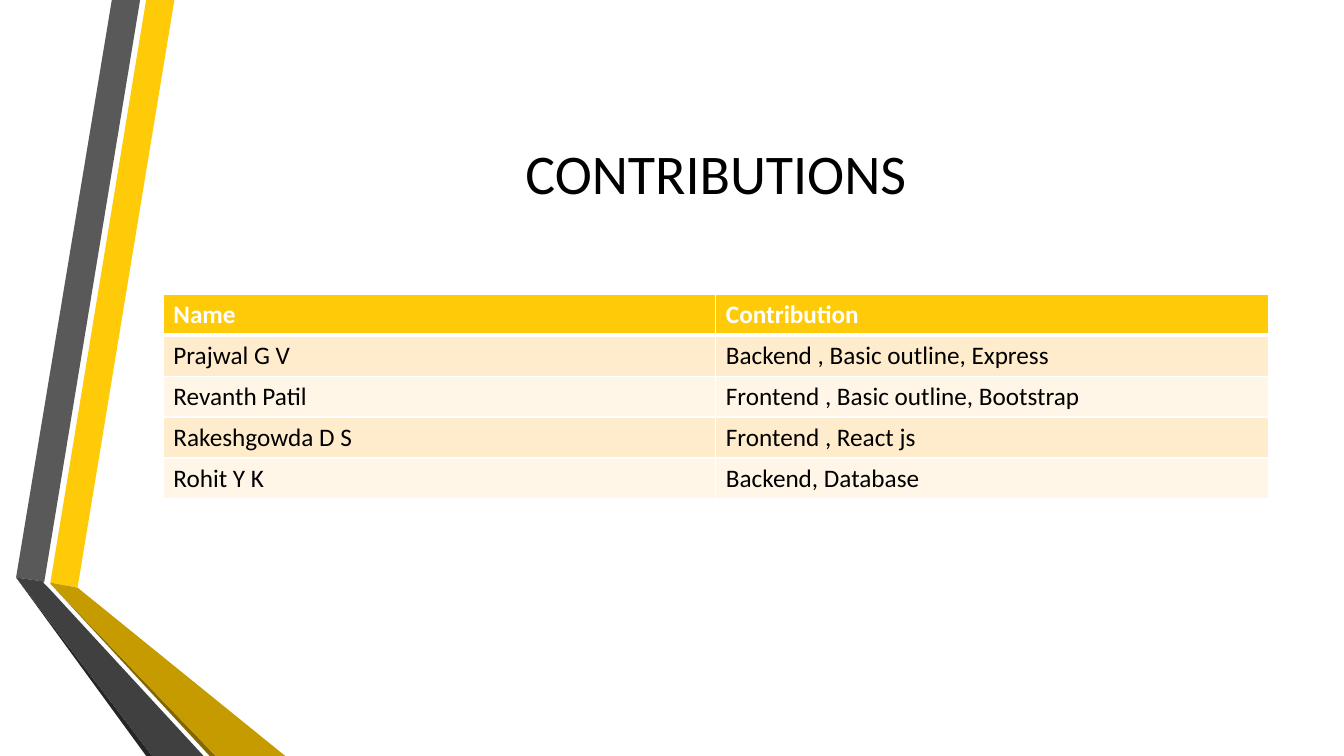
from lxml.etree import SubElement
from pptx import Presentation
from pptx.dml.color import RGBColor
from pptx.enum.text import MSO_ANCHOR, PP_ALIGN
from pptx.oxml import parse_xml
from pptx.oxml.ns import nsdecls, qn
from pptx.util import Inches, Pt

WIDTH, HEIGHT = 13.33, 7.5
FONT = "Calibri"
YELLOW, WHITE, BLACK = "FFCA08", "FFFFFF", "000000"
ROW_FILLS = ["FFECCC", "FFF6E7"]

RIBBONS = [
    (YELLOW, [(0.5, 5.78), (0.77, 5.83), (1.73, 0), (1.45, 0)]),
    ("595959", [(1.39, 0), (1.11, 0), (0.16, 5.73), (0.44, 5.77)]),
    ("262626", [(0.16, 5.73), (1.45, 7.5), (1.51, 7.5)]),
    ("846700", [(0.5, 5.79), (2.08, 7.5), (2.14, 7.5)]),
    ("C59B00", [(0.5, 5.79), (2.14, 7.5), (2.83, 7.5), (0.77, 5.83), (0.5, 5.78)]),
    ("404040", [(2.02, 7.5), (0.48, 5.83), (0.43, 5.78), (0.44, 5.77),
                (0.16, 5.73), (1.51, 7.5)]),
]
CONTRIBUTIONS = [
    ("Name", "Contribution"),
    ("Prajwal G V", "Backend , Basic outline, Express"),
    ("Revanth Patil", "Frontend , Basic outline, Bootstrap"),
    ("Rakeshgowda D S", "Frontend , React js"),
    ("Rohit Y K", "Backend, Database"),
]


def color(value):
    """Turn a hex string into a colour."""
    return RGBColor.from_string(value)


def paint(target, value):
    """Give a shape or cell a solid fill."""
    target.fill.solid()
    target.fill.fore_color.rgb = color(value)


def write(frame, text, ink, **format_values):
    """Write one formatted line and return its paragraph."""
    para = frame.paragraphs[0]
    span = para.add_run()
    span.text = text
    for name, value in {"name": FONT, **format_values}.items():
        setattr(span.font, name, value)
    span.font.color.rgb = color(ink)
    return para


def add_ribbons(page, box):
    """Draw the folded ribbons from the top left of the box."""
    left, top = box[:2]
    for fill, outline in RIBBONS:
        points = [(Inches(left + x), Inches(top + y)) for x, y in outline]
        builder = page.shapes.build_freeform(*points[0], scale=1.0)
        builder.add_line_segments(points[1:], close=True)
        ribbon = builder.convert_to_shape()
        ribbon.shadow.inherit = False
        paint(ribbon, fill)
        ribbon.line.fill.background()


def add_title(page, box, text):
    """Centre the heading in the box."""
    frame = page.shapes.add_textbox(*map(Inches, box)).text_frame
    frame.word_wrap = True
    frame.vertical_anchor = MSO_ANCHOR.MIDDLE
    write(frame, text, BLACK, size=Pt(40)).alignment = PP_ALIGN.CENTER


def add_borders(cell, widths):
    """Put white lines on the four sides of a cell."""
    properties = cell._tc.get_or_add_tcPr()
    for index, (side, width) in enumerate(widths.items()):
        line = parse_xml(f'<a:ln{side} {nsdecls("a")} w="{Pt(width)}"/>')
        fill = SubElement(line, qn("a:solidFill"))
        SubElement(fill, qn("a:srgbClr"), val=WHITE)
        properties.insert(index, line)


def add_contributions(page, box, records):
    """Fill the box with a table that has a header and banded rows."""
    table = page.shapes.add_table(
        len(records), len(records[0]), *map(Inches, box)).table
    for row, record in enumerate(records):
        header = row == 0
        widths = {"L": 1, "R": 1, "T": 3 if row == 1 else 1, "B": 3 if header else 1}
        for column, text in enumerate(record):
            cell = table.cell(row, column)
            paint(cell, YELLOW if header else ROW_FILLS[(row - 1) % 2])
            write(cell.text_frame, text, WHITE if header else BLACK,
                  size=Pt(18), bold=header)
            add_borders(cell, widths)


def build():
    """Build the contributions slide and save the deck."""
    deck = Presentation()
    deck.slide_width, deck.slide_height = Inches(WIDTH), Inches(HEIGHT)
    page = deck.slides.add_slide(deck.slide_layouts[6])
    left, width = 1.62, 10.96
    add_ribbons(page, (0, 0, WIDTH, HEIGHT))
    add_title(page, (left, HEIGHT * 0.1, width, 1.92), "CONTRIBUTIONS")
    add_contributions(page, (left, 2.92, width, 2.03), CONTRIBUTIONS)
    deck.save("out.pptx")


build()
